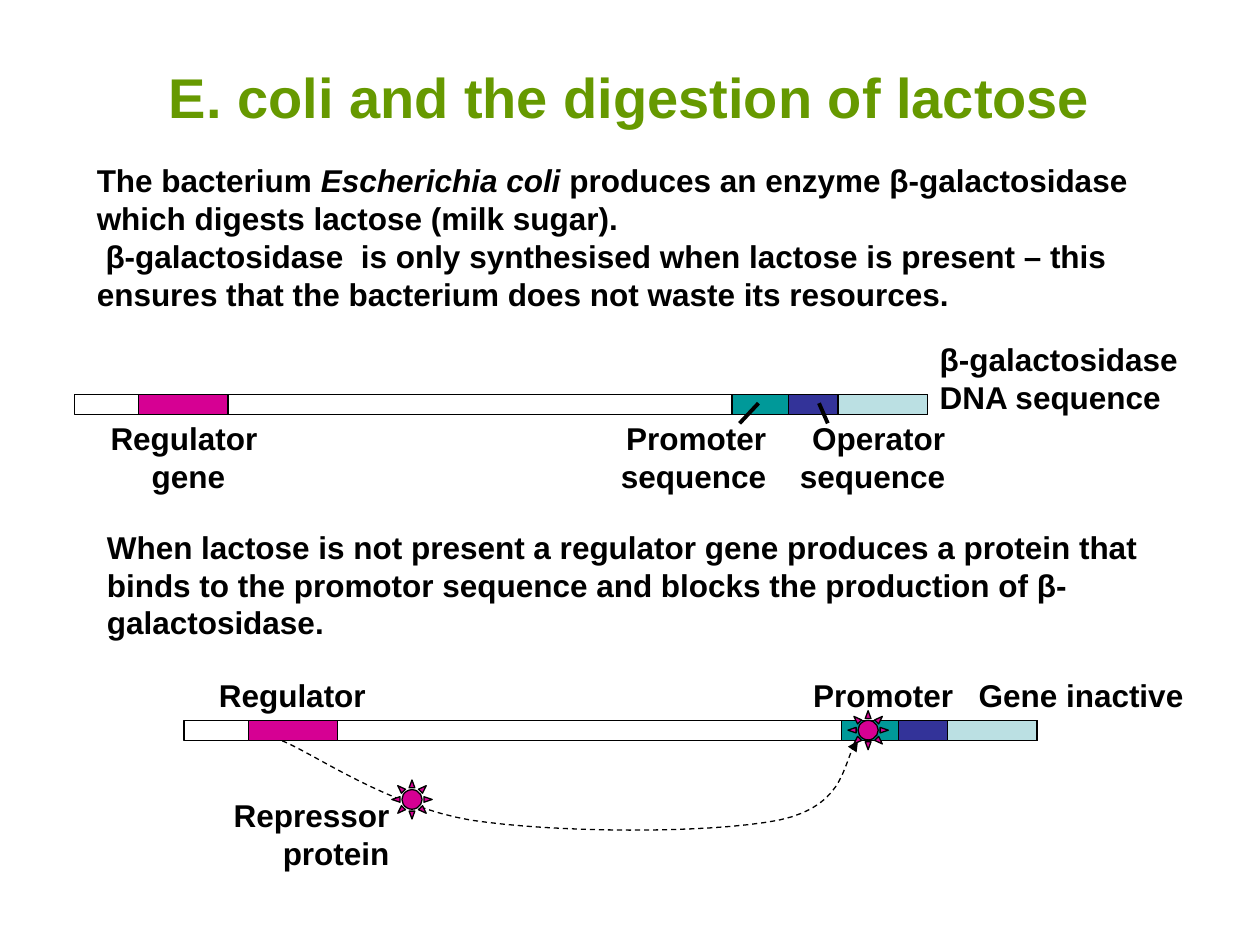
import pptx
import pptx.util
import pptx.dml.color
import pptx.enum.dml
import pptx.enum.shapes
import pptx.enum.text
import lxml.etree
from dataclasses import dataclass
from pptx.oxml.ns import qn

Inches, Pt = pptx.util.Inches, pptx.util.Pt
RGB = pptx.dml.color.RGBColor.from_string
Align = pptx.enum.text.PP_ALIGN
Shape = pptx.enum.shapes.MSO_SHAPE


@dataclass(frozen=True)
class Theme:
    font: str = "Arial"
    title_size: float = 32
    text_size: float = 18
    thin: float = 0.75
    thick: float = 2.25
    title: str = "669900"
    ink: str = "000000"
    repressor: str = "D60093"
    promoter: str = "009999"
    operator: str = "333399"
    structural: str = "BBE0E3"


theme = Theme()


def add_text(left, top, width, height, pieces, align=Align.LEFT):
    """Add a bold text box; pieces are (text, italic), with a newline as a line break."""
    box = slide.shapes.add_textbox(Inches(left), Inches(top), Inches(width), Inches(height))
    box.text_frame.word_wrap = True
    paragraph = box.text_frame.paragraphs[0]
    paragraph.alignment = align
    for text, italic in pieces:
        for number, line in enumerate(text.split("\n")):
            if number:
                paragraph.add_line_break()
            run = paragraph.add_run()
            run.text = line
            if italic:
                run.font.italic = True
    paragraph.font.name = theme.font
    paragraph.font.size = Pt(theme.text_size)
    paragraph.font.bold = True
    paragraph.font.color.rgb = RGB(theme.ink)


def add_outlined(shapes, preset, left, top, width, height, color):
    shape = shapes.add_shape(preset, Inches(left), Inches(top), Inches(width), Inches(height))
    shape.shadow.inherit = False
    if color:
        shape.fill.solid()
        shape.fill.fore_color.rgb = RGB(color)
    else:
        shape.fill.background()
    shape.line.color.rgb = RGB(theme.ink)
    shape.line.width = Pt(theme.thin)


deck = pptx.Presentation()
deck.slide_width, deck.slide_height = Inches(10), Inches(7.5)
slide = deck.slides.add_slide(deck.slide_layouts[5])

# Title
title = slide.shapes.title
title.left, title.top, title.width, title.height = Inches(0.5), Inches(0.3), Inches(9), Inches(0.93)
title.text_frame.text = "E. coli and the digestion of lactose"
title.text_frame.vertical_anchor = pptx.enum.text.MSO_ANCHOR.MIDDLE
heading = title.text_frame.paragraphs[0]
heading.alignment = Align.CENTER
heading.font.name = theme.font
heading.font.size = Pt(theme.title_size)
heading.font.bold = True
heading.font.color.rgb = RGB(theme.title)

# Explanations
add_text(0.67, 1.23, 8.66, 1.3, [
    ("The bacterium ", False),
    ("Escherichia coli", True),
    (" produces an enzyme β-galactosidase which digests lactose (milk sugar).\n"
     " β-galactosidase  is only synthesised when lactose is present – this ensures "
     "that the bacterium does not waste its resources.", False),
])
add_text(0.75, 4.14, 8.43, 1, [
    ("When lactose is not present a regulator gene produces a protein that binds to the "
     "promotor sequence and blocks the production of β-galactosidase.", False),
])

# The same stretch of DNA, drawn twice: offset, width and colour of each part
dna_parts = [
    (0, 6.77, None),
    (5.61, 0.45, theme.operator),
    (5.22, 0.45, theme.promoter),
    (0.51, 0.71, theme.repressor),
    (6.06, 0.71, theme.structural),
]
for dna_left, dna_top in [(0.59, 3.13), (1.46, 5.72)]:
    dna = slide.shapes.add_group_shape()
    for offset, width, color in dna_parts:
        add_outlined(dna.shapes, Shape.RECTANGLE, dna_left + offset, dna_top, width, 0.16, color)

# Pointers from the labels to the promoter and the operator
for x1, y1, x2, y2 in [(5.87, 3.36, 6.02, 3.2), (6.5, 3.2, 6.57, 3.36)]:
    pointer = slide.shapes.add_connector(
        pptx.enum.shapes.MSO_CONNECTOR.STRAIGHT, Inches(x1), Inches(y1), Inches(x2), Inches(y2))
    pointer.line.color.rgb = RGB(theme.ink)
    pointer.line.width = Pt(theme.thick)
    lxml.etree.SubElement(pointer._element.spPr, qn("a:effectLst"))

# Route of the repressor from its gene to the promoter, as joined Bezier curves
knots = [(2.24, 5.88), (2.49, 5.98), (3.08, 6.4), (3.74, 6.51), (4.4, 6.61),
         (5.61, 6.62), (6.18, 6.51), (6.75, 6.39), (6.68, 6.01), (6.81, 5.88)]
steps = 16
route_points = []
for first in range(0, len(knots) - 1, 3):
    for step in range(1, steps + 1):
        t = step / steps
        weights = [(1 - t) ** 3, 3 * t * (1 - t) ** 2, 3 * t ** 2 * (1 - t), t ** 3]
        route_points.append(tuple(
            Inches(sum(w * knot[axis] for w, knot in zip(weights, knots[first:first + 4])))
            for axis in (0, 1)))
builder = slide.shapes.build_freeform(Inches(knots[0][0]), Inches(knots[0][1]))
builder.add_line_segments(route_points, close=False)
route = builder.convert_to_shape()
route.shadow.inherit = False
route.fill.background()
route.line.color.rgb = RGB(theme.ink)
route.line.width = Pt(theme.thin)
route.line.dash_style = pptx.enum.dml.MSO_LINE.DASH
lxml.etree.SubElement(route.line._get_or_add_ln(), qn("a:tailEnd"), type="triangle")

# Repressor protein, free and bound
for left, top in [(3.11, 6.19), (6.73, 5.64)]:
    add_outlined(slide.shapes, Shape.SUN, left, top, 0.32, 0.31, theme.repressor)

# Labels
for left, top, width, height, label, align in [
    (7.36, 2.65, 2.28, 0.7, "β-galactosidase DNA sequence", Align.LEFT),
    (4.05, 3.28, 2.13, 0.7, "Promoter\nsequence", Align.RIGHT),
    (6.1, 3.28, 1.5, 0.7, "Operator sequence", Align.RIGHT),
    (0.59, 3.28, 1.81, 0.7, "Regulator \ngene", Align.CENTER),
    (1.61, 5.32, 1.49, 0.4, "Regulator ", Align.CENTER),
    (6.26, 5.32, 1.5, 0.4, "Promoter", Align.CENTER),
    (1.06, 6.27, 2.13, 0.7, "Repressor\nprotein", Align.RIGHT),
    (7.44, 5.32, 2.28, 0.4, "Gene inactive", Align.CENTER),
]:
    add_text(left, top, width, height, [(label, False)], align)

deck.save("out.pptx")
